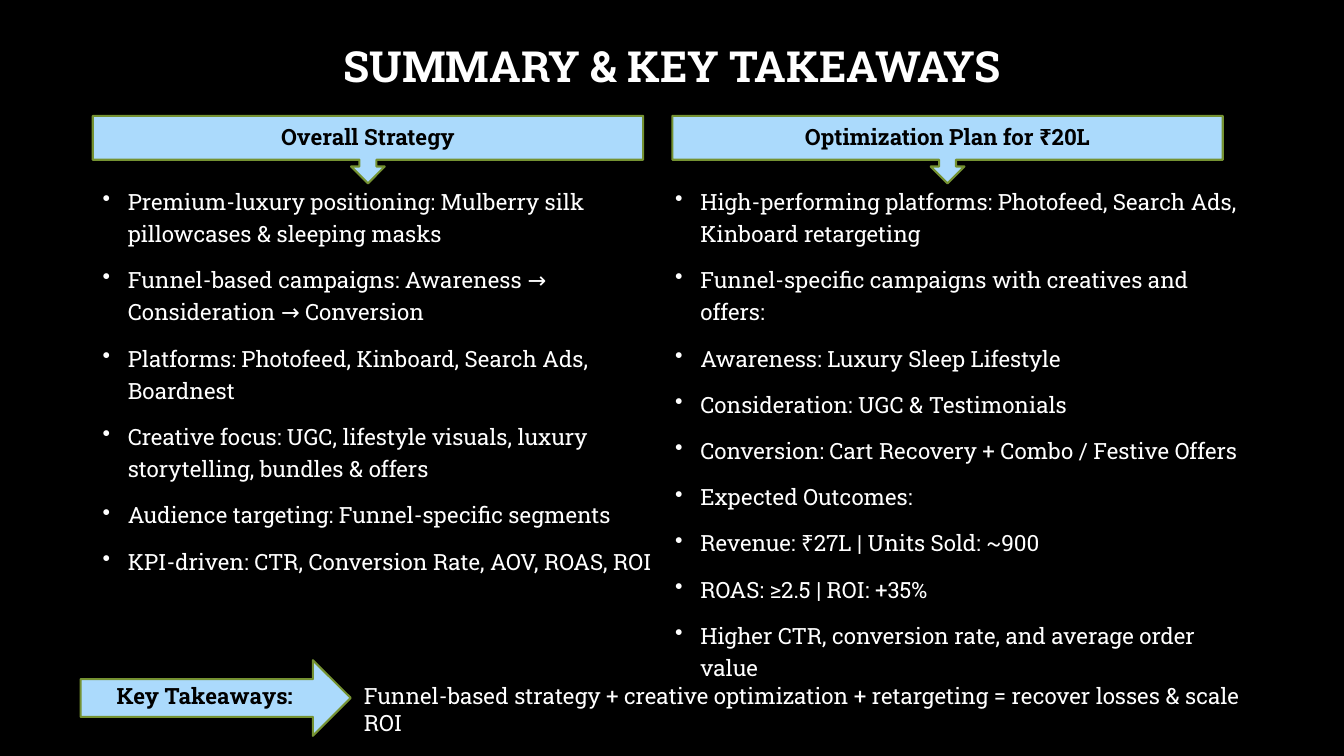
from dataclasses import dataclass

from lxml import etree
from pptx import Presentation
from pptx.dml.color import RGBColor
from pptx.enum.shapes import MSO_SHAPE
from pptx.enum.text import MSO_ANCHOR, MSO_AUTO_SIZE, PP_ALIGN
from pptx.oxml.ns import qn
from pptx.util import Inches, Pt

DOWN = MSO_SHAPE.DOWN_ARROW_CALLOUT
RIGHT = MSO_SHAPE.RIGHT_ARROW
MIDDLE = MSO_ANCHOR.MIDDLE
FIXED = MSO_AUTO_SIZE.NONE
LEFT, CENTER = PP_ALIGN.LEFT, PP_ALIGN.CENTER

WIDTH, HEIGHT = Inches(13.33), Inches(7.5)
FACE = "Roboto Slab"
COLORS = {"back": "000000", "text": "FFFFFF", "label": "000000",
          "fill": "ABDAFC", "edge": "759232"}


@dataclass(frozen=True)
class Area:
    """Left, top, width and height in percent of the slide."""
    x: float
    y: float
    w: float
    h: float

    def box(self) -> tuple[int, int, int, int]:
        return (int(WIDTH * self.x / 100), int(HEIGHT * self.y / 100),
                int(WIDTH * self.w / 100), int(HEIGHT * self.h / 100))


@dataclass(frozen=True)
class Banner:
    kind: int
    shape: Area
    label: Area
    text: str


@dataclass(frozen=True)
class Column:
    area: Area
    points: tuple[str, ...]


TITLE = Area(6.9, 5.47, 86.27, 7.2)
CLOSING = Area(26.33, 89.6, 69.54, 4.93)

BANNERS = (
    Banner(DOWN, Area(6.9, 15.33, 40.95, 8.93), Area(6.9, 15.6, 40.95, 8.93),
           "Overall Strategy"),
    Banner(DOWN, Area(50.03, 15.33, 40.95, 8.93), Area(50.03, 15.6, 40.95, 8.93),
           "Optimization Plan for ₹20L"),
    Banner(RIGHT, Area(6, 87.33, 20.1, 10), Area(6, 89.6, 18.45, 4.93),
           "Key Takeaways:"),
)

COLUMNS = (
    Column(Area(6.9, 23.47, 42.53, 61.87), (
        "Premium-luxury positioning: Mulberry silk pillowcases & sleeping masks",
        "Funnel-based campaigns: Awareness → Consideration → Conversion",
        "Platforms: Photofeed, Kinboard, Search Ads, Boardnest",
        "Creative focus: UGC, lifestyle visuals, luxury storytelling, bundles & offers",
        "Audience targeting: Funnel-specific segments",
        "KPI-driven: CTR, Conversion Rate, AOV, ROAS, ROI",
    )),
    Column(Area(49.5, 23.47, 43.73, 62.93), (
        "High-performing platforms: Photofeed, Search Ads, Kinboard retargeting",
        "Funnel-specific campaigns with creatives and offers:",
        "Awareness: Luxury Sleep Lifestyle",
        "Consideration: UGC & Testimonials",
        "Conversion: Cart Recovery + Combo / Festive Offers",
        "Expected Outcomes:",
        "Revenue: ₹27L | Units Sold: ~900",
        "ROAS: ≥2.5 | ROI: +35%",
        "Higher CTR, conversion rate, and average order value",
    )),
)


def color(name: str) -> RGBColor:
    return RGBColor.from_string(COLORS[name])


def style(para, tint: str, size: float = 16, bold: bool = False, align=LEFT) -> None:
    para.alignment = align
    font = para.font
    font.name, font.size, font.bold = FACE, Pt(size), bold
    font.color.rgb = color(tint)


def bullet(para) -> None:
    props = para._p.get_or_add_pPr()
    props.set("marL", str(Inches(0.25)))
    props.set("indent", str(-Inches(0.25)))
    etree.SubElement(props, qn("a:buChar")).set("char", "•")
    para.line_spacing = 1.2


def write(slide, area: Area, text: str, tint: str, bold: bool = False, align=LEFT) -> None:
    frame = slide.shapes.add_textbox(*area.box()).text_frame
    frame.word_wrap = True
    frame.text = text
    style(frame.paragraphs[0], tint, bold=bold, align=align)


def head(slide, text: str) -> None:
    title = slide.shapes.title
    title.left, title.top, title.width, title.height = TITLE.box()
    frame = title.text_frame
    frame.text = text
    frame.word_wrap = True
    frame.auto_size = FIXED
    frame.vertical_anchor = MIDDLE
    para = frame.paragraphs[0]
    para.line_spacing = 0.9
    style(para, "text", 30.6, True, CENTER)


def listing(slide, column: Column) -> None:
    frame = slide.shapes.add_textbox(*column.area.box()).text_frame
    frame.word_wrap = True
    for rank, point in enumerate(column.points):
        para = frame.add_paragraph() if rank else frame.paragraphs[0]
        para.text = point
        bullet(para)
        if rank:
            para.space_before = Pt(10)
        style(para, "text")


def banner(slide, item: Banner) -> None:
    shape = slide.shapes.add_shape(item.kind, *item.shape.box())
    shape.shadow.inherit = False
    shape.fill.solid()
    shape.fill.fore_color.rgb = color("fill")
    shape.line.color.rgb = color("edge")
    shape.line.width = Pt(1.5)
    write(slide, item.label, item.text, "label", True, CENTER)


def main() -> None:
    deck = Presentation()
    deck.slide_width, deck.slide_height = WIDTH, HEIGHT
    slide = deck.slides.add_slide(deck.slide_layouts.get_by_name("Title Only"))
    back = slide.background.fill
    back.solid()
    back.fore_color.rgb = color("back")
    head(slide, "SUMMARY & KEY TAKEAWAYS")
    for column in COLUMNS:
        listing(slide, column)
    write(slide, CLOSING, "Funnel-based strategy + creative optimization + "
          "retargeting = recover losses & scale ROI", "text")
    for item in BANNERS:
        banner(slide, item)
    deck.save("out.pptx")


if __name__ == "__main__":
    main()
